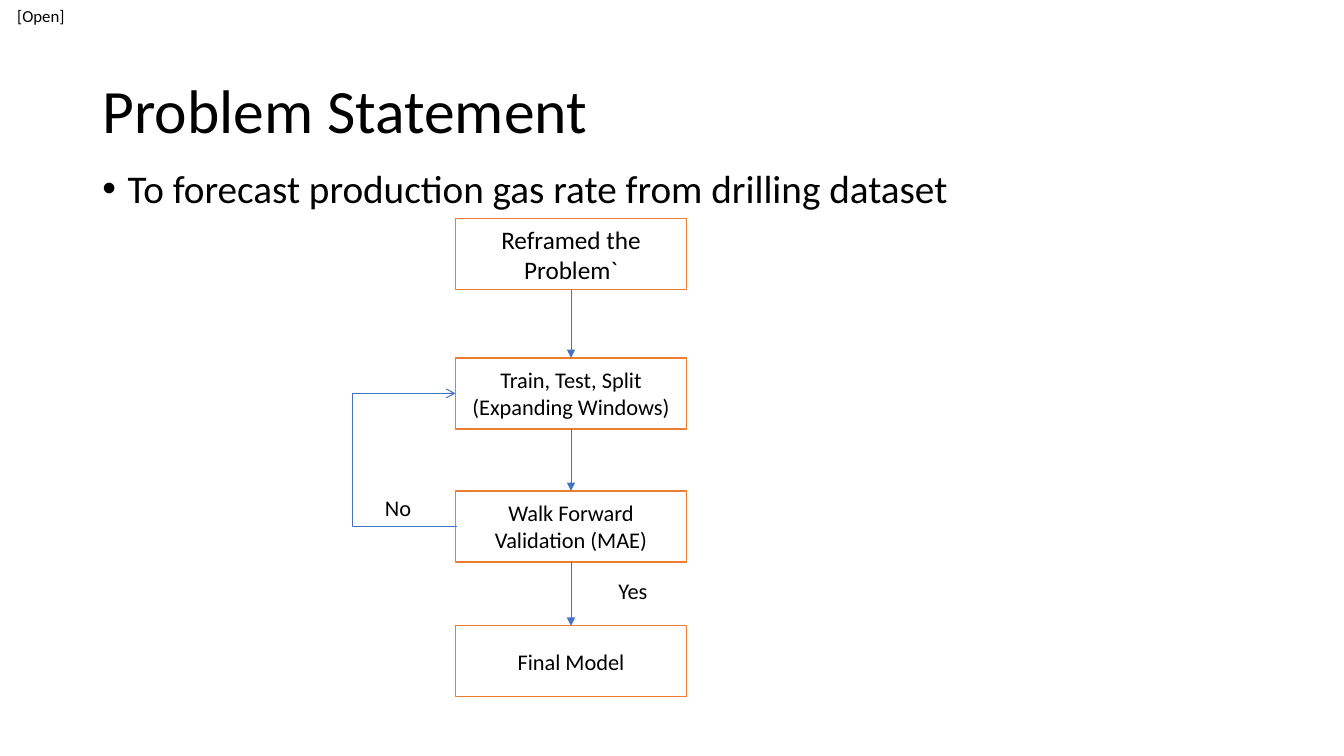
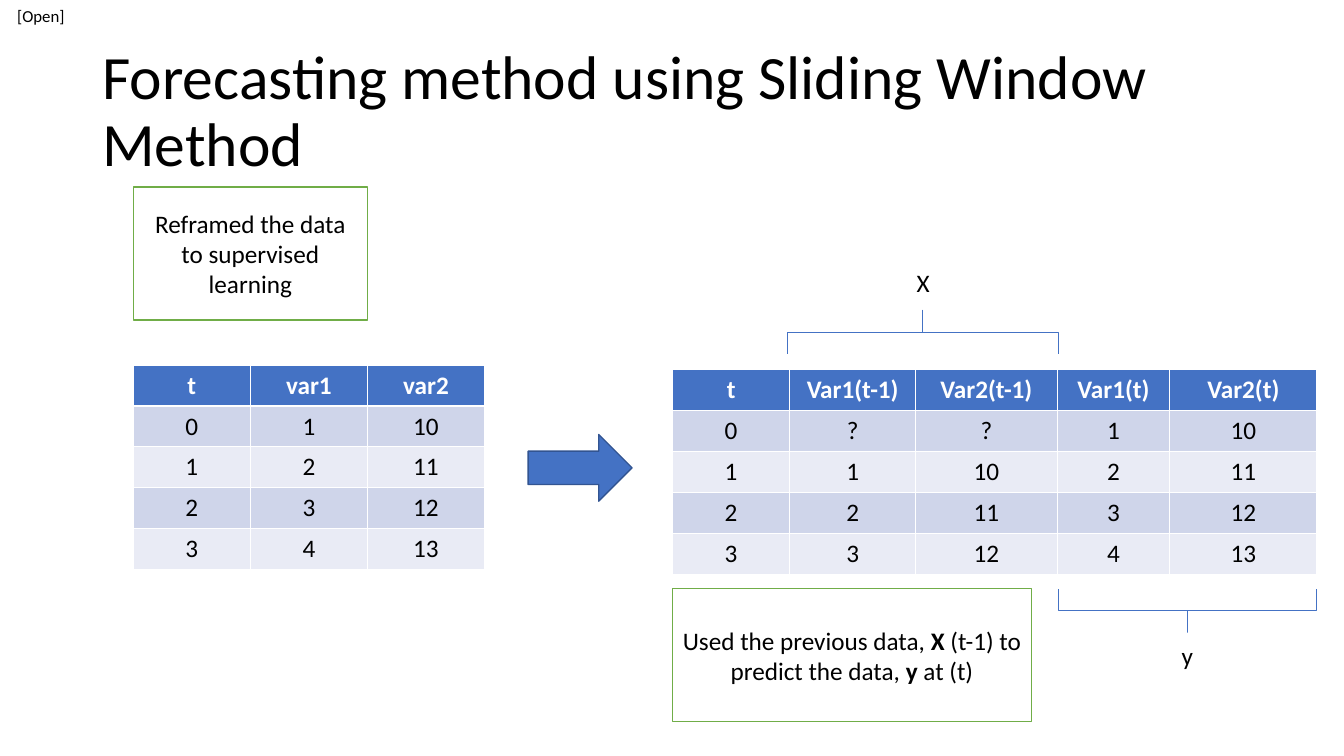
from lxml.etree import SubElement
from pptx import Presentation
from pptx.dml.color import RGBColor
from pptx.enum.shapes import MSO_CONNECTOR as Connector, MSO_SHAPE as Preset
from pptx.enum.text import MSO_ANCHOR as Anchor, PP_ALIGN as Align
from pptx.oxml.ns import qn
from pptx.util import Cm, Pt

BLACK = RGBColor(0x00, 0x00, 0x00)
WHITE = RGBColor(0xFF, 0xFF, 0xFF)
BLUE = RGBColor(0x44, 0x72, 0xC4)
DARK_BLUE = RGBColor(0x32, 0x54, 0x91)
ORANGE = RGBColor(0xED, 0x7D, 0x31)
GREEN = RGBColor(0x70, 0xAD, 0x47)
ROW_FILLS = (RGBColor(0xCF, 0xD5, 0xEA), RGBColor(0xE9, 0xEB, 0xF5))

FONT = "Calibri"
BLANK_LAYOUT = 6
TOP, LEFT, BOTTOM = 0, 1, 2


class Deck:
    """The shared style and the slide being filled; lengths are in centimetres."""

    def __init__(self):
        self.presentation = Presentation()
        self.presentation.slide_width = Cm(33.87)
        self.presentation.slide_height = Cm(19.05)
        self.slide = None

    def add_slide(self, title):
        layout = self.presentation.slide_layouts[BLANK_LAYOUT]
        self.slide = self.presentation.slides.add_slide(layout)
        self.text(0, 0, 2.06, 0.81, ["[Open]"], size=12, anchor=Anchor.MIDDLE, inset=0)
        heading = self.text(2.33, 1.01, 29.21, 3.68, [title], size=44,
                            align=Align.LEFT, anchor=Anchor.MIDDLE)
        heading.text_frame.paragraphs[0].line_spacing = 0.9

    def add_runs(self, paragraph, content, size, color=BLACK, bold=False, align=Align.CENTER):
        """Fill a paragraph from a string or from (text, bold) pairs."""
        paragraph.alignment = align
        runs = [(content, bold)] if isinstance(content, str) else content
        for text, is_bold in runs:
            run = paragraph.add_run()
            run.text = text
            run.font.name = FONT
            run.font.size = Pt(size)
            run.font.bold = is_bold
            run.font.color.rgb = color

    def fill_frame(self, frame, lines, size, align, anchor):
        frame.word_wrap = True
        frame.vertical_anchor = anchor
        for index, line in enumerate(lines):
            paragraph = frame.add_paragraph() if index else frame.paragraphs[0]
            self.add_runs(paragraph, line, size, align=align)

    def text(self, left, top, width, height, lines, size=18, align=Align.CENTER,
             anchor=Anchor.TOP, inset=None):
        box = self.slide.shapes.add_textbox(Cm(left), Cm(top), Cm(width), Cm(height))
        frame = box.text_frame
        if inset is not None:
            frame.margin_left = frame.margin_right = Cm(inset)
            frame.margin_top = frame.margin_bottom = Cm(inset)
        self.fill_frame(frame, lines, size, align, anchor)
        return box

    def bullet(self, left, top, width, height, text):
        box = self.text(left, top, width, height, [text], size=28, align=Align.LEFT)
        paragraph = box.text_frame.paragraphs[0]
        paragraph.line_spacing = 0.9
        paragraph.space_before = Pt(10)
        properties = paragraph._p.get_or_add_pPr()
        indent = Cm(0.64)
        properties.set("marL", str(indent))
        properties.set("indent", str(-indent))
        SubElement(properties, qn("a:buFont"), typeface="Arial")
        SubElement(properties, qn("a:buChar"), char="•")

    def shape(self, preset, left, top, width, height, line, fill=None, line_width=1):
        shape = self.slide.shapes.add_shape(preset, Cm(left), Cm(top), Cm(width), Cm(height))
        shape.shadow.inherit = False
        if fill is None:
            shape.fill.background()
        else:
            shape.fill.solid()
            shape.fill.fore_color.rgb = fill
        shape.line.color.rgb = line
        shape.line.width = Pt(line_width)
        return shape

    def box(self, left, top, width, height, lines, line, size=18):
        shape = self.shape(Preset.RECTANGLE, left, top, width, height, line, WHITE)
        self.fill_frame(shape.text_frame, lines, size, Align.CENTER, Anchor.MIDDLE)
        return shape

    def brace(self, left, top, width, height, rotation):
        """Add a square bracket; left and top are those before rotation."""
        shape = self.shape(Preset.LEFT_BRACE, left, top, width, height, BLUE, line_width=0.5)
        shape.adjustments[0] = 0
        shape.rotation = rotation

    def connect(self, kind, start, start_side, end, end_side, head="triangle", width=0.5):
        connector = self.slide.shapes.add_connector(kind, 0, 0, 0, 0)
        connector.begin_connect(start, start_side)
        connector.end_connect(end, end_side)
        connector.line.color.rgb = BLUE
        connector.line.width = Pt(width)
        properties = connector._element.spPr
        SubElement(properties.find(qn("a:ln")), qn("a:tailEnd"), type=head)
        SubElement(properties, qn("a:effectLst"))
        return connector

    def loop_back(self, start, end, reach):
        """Join two left sides by an elbow that swings out by reach."""
        connector = self.connect(Connector.ELBOW, start, LEFT, end, LEFT, "arrow", 0.75)
        connector.begin_x += Cm(0.03)
        ratio = round(Cm(reach) / connector.width * 100000)
        guides = connector._element.spPr.find(qn("a:prstGeom")).get_or_add_avLst()
        SubElement(guides, qn("a:gd"), name="adj1", fmla=f"val {ratio}")

    def table(self, left, top, column_widths, rows, row_height=1.03):
        frame = self.slide.shapes.add_table(
            len(rows), len(column_widths), Cm(left), Cm(top),
            Cm(sum(column_widths)), Cm(row_height * len(rows)))
        table = frame.table
        for column, width in zip(table.columns, column_widths):
            column.width = Cm(width)
        for row_index, values in enumerate(rows):
            table.rows[row_index].height = Cm(row_height)
            is_header = row_index == 0
            for column_index, value in enumerate(values):
                cell = table.cell(row_index, column_index)
                cell.fill.solid()
                cell.fill.fore_color.rgb = BLUE if is_header else ROW_FILLS[(row_index - 1) % 2]
                self.add_runs(cell.text_frame.paragraphs[0], value, 18,
                              WHITE if is_header else BLACK, is_header)


def add_problem_slide(deck):
    deck.add_slide("Problem Statement")
    deck.bullet(2.33, 4.14, 29.21, 13.39,
                "To forecast production gas rate from drilling dataset")
    steps = [
        (5.51, 18, ["Reframed the Problem`"]),
        (9.02, 16, ["Train, Test, Split", "(Expanding Windows)"]),
        (12.37, 16, ["Walk Forward Validation (MAE)"]),
        (15.77, 16, ["Final Model"]),
    ]
    boxes = [deck.box(11.48, top, 5.82, 1.79, lines, ORANGE, size)
             for top, size, lines in steps]
    for upper, lower in zip(boxes, boxes[1:]):
        deck.connect(Connector.STRAIGHT, upper, BOTTOM, lower, TOP)
    split, validation = boxes[1:3]
    deck.loop_back(validation, split, 2.62)
    for left, top, answer in ((9.04, 11.91, "No"), (14.96, 14, "Yes")):
        deck.text(left, top, 1.98, 1.78, [answer], size=16, anchor=Anchor.MIDDLE)


def add_method_slide(deck):
    deck.add_slide("Forecasting method using Sliding Window Method")
    deck.box(3.36, 4.71, 5.9, 3.36, ["Reframed the data to supervised learning"], GREEN)
    deck.table(3.36, 9.2, [2.95] * 3, [
        ("t", "var1", "var2"),
        ("0", "1", "10"),
        ("1", "2", "11"),
        ("2", "3", "12"),
        ("3", "4", "13"),
    ])
    deck.shape(Preset.RIGHT_ARROW, 13.31, 10.95, 2.62, 1.68, DARK_BLUE, BLUE)
    deck.table(16.95, 9.32, [2.95, 3.18, 3.56, 2.84, 3.71], [
        ("t", "Var1(t-1)", "Var2(t-1)", "Var1(t)", "Var2(t)"),
        ("0", "?", "?", "1", "10"),
        ("1", "1", "10", "2", "11"),
        ("2", "2", "11", "3", "12"),
        ("3", "3", "12", "4", "13"),
    ])
    deck.box(16.95, 14.83, 9.04, 3.36, [[
        ("Used the previous data, ", False), ("X", True),
        (" (t-1) to predict the data, ", False), ("y", True), (" at (t)", False),
    ]], GREEN)
    deck.brace(22.71, 4.95, 1.09, 6.83, 90)
    deck.text(21.92, 6.6, 2.69, 1.03, ["X"])
    deck.brace(29.39, 12.14, 1.09, 6.5, 270)
    deck.text(28.58, 16, 2.69, 1.03, ["y"])


def main():
    deck = Deck()
    add_problem_slide(deck)
    add_method_slide(deck)
    deck.presentation.save("out.pptx")


if __name__ == "__main__":
    main()
